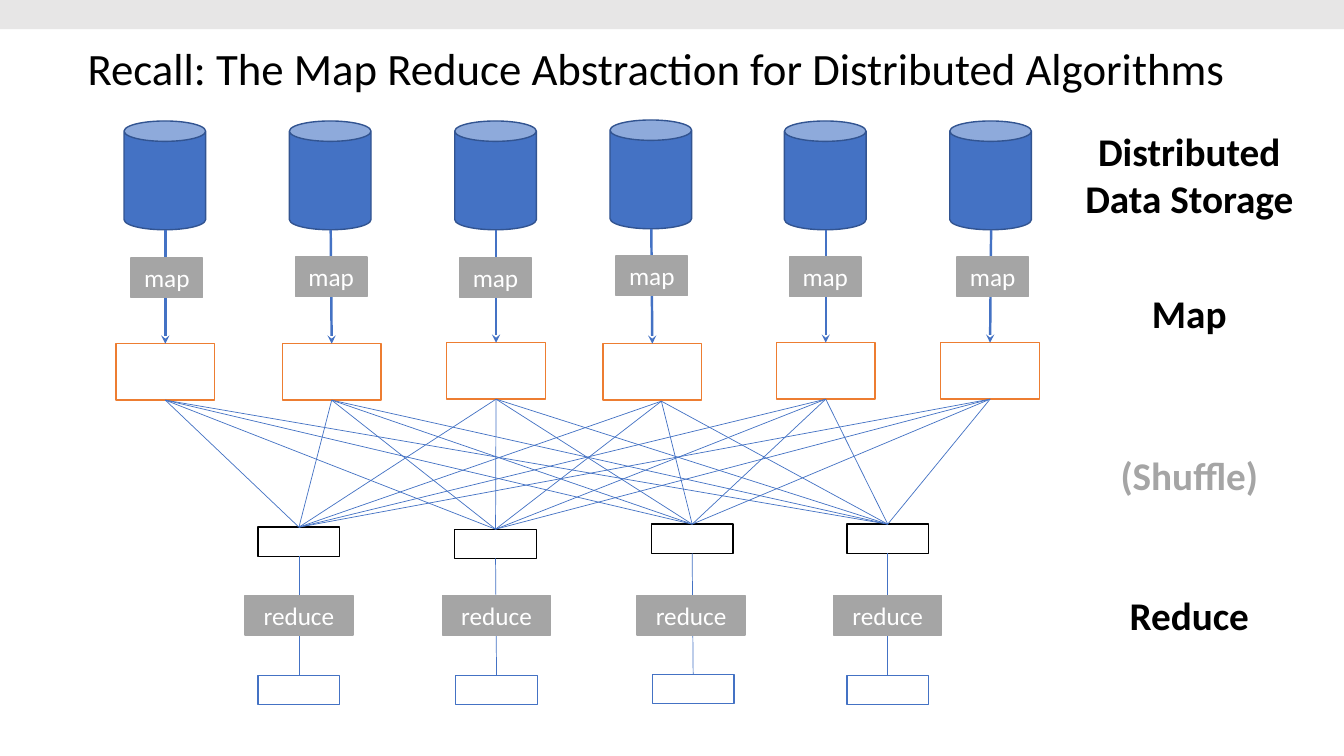
import pptx
import pptx.util
import pptx.dml.color
import pptx.enum.shapes
import pptx.enum.text
import pptx.oxml.ns
from lxml import etree

Inches = pptx.util.Inches
Pt = pptx.util.Pt
SHAPE = pptx.enum.shapes.MSO_SHAPE
STRAIGHT = pptx.enum.shapes.MSO_CONNECTOR.STRAIGHT
ALIGN = pptx.enum.text.PP_ALIGN
MIDDLE = pptx.enum.text.MSO_ANCHOR.MIDDLE
BLUE, GRAY, WHITE, BLACK = "4472C4", "A5A5A5", "FFFFFF", "000000"
qn = pptx.oxml.ns.qn

presentation = pptx.Presentation()
presentation.slide_width = Inches(13.33)
presentation.slide_height = Inches(7.5)
slide = presentation.slides.add_slide(presentation.slide_layouts[6])


def color(value):
    return pptx.dml.color.RGBColor.from_string(value)


def add_item(box, text="", size=18, font="000000", bold=False, kind=None,
             fill=None, line=None, align=ALIGN.CENTER):
    """Add a preset shape, or a text box when no kind is given."""
    place = [Inches(length) for length in box]
    if kind is None:
        shape = slide.shapes.add_textbox(*place)
    else:
        shape = slide.shapes.add_shape(kind, *place)
        shape.shadow.inherit = False
        shape.fill.solid()
        shape.fill.fore_color.rgb = color(fill)
        if line:
            shape.line.color.rgb = color(line)
            shape.line.width = Pt(1)
        else:
            shape.line.fill.background()
        shape.text_frame.vertical_anchor = MIDDLE
    if text:
        shape.text_frame.word_wrap = True
        paragraph = shape.text_frame.paragraphs[0]
        paragraph.alignment = align
        run = paragraph.add_run()
        run.text = text
        run.font.name = "Calibri"
        run.font.size = Pt(size)
        run.font.bold = bold
        run.font.color.rgb = color(font)
    return shape


def add_line(start, end, width=0.5, arrow=False):
    connector = slide.shapes.add_connector(
        STRAIGHT, *[Inches(length) for length in (*start, *end)])
    connector.line.color.rgb = color(BLUE)
    connector.line.width = Pt(width)
    if arrow:
        outline = connector.line._get_or_add_ln()
        etree.SubElement(outline, qn("a:tailEnd"), type="stealth")
    etree.SubElement(connector._element.spPr, qn("a:effectLst"))
    return connector


title = add_item((0.77, -0.02, 11.5, 1.45),
                 "Recall: The Map Reduce Abstraction for Distributed Algorithms",
                 size=32, align=ALIGN.LEFT)
title.text_frame.vertical_anchor = MIDDLE
title.text_frame.paragraphs[0].line_spacing = 0.9
add_item((0, 0, 13.33, 0.29), kind=SHAPE.RECTANGLE, fill="E7E6E6")

stage_labels = [
    ("Distributed Data Storage", 1.21, 1.04, BLACK),
    ("Map", 2.82, 0.57, BLACK),
    ("(Shuffle)", 4.43, 0.57, GRAY),
    ("Reduce", 5.82, 0.57, BLACK),
]
for text, top, height, font in stage_labels:
    add_item((10.62, top, 2.35, height), text, size=28, font=font, bold=True)

# Storage left and top, map left and top, output left and top
map_columns = [
    (1.23, 1.2, 1.3, 2.56, 1.15, 3.41),
    (2.87, 1.2, 2.93, 2.55, 2.8, 3.41),
    (4.51, 1.2, 4.56, 2.56, 4.43, 3.4),
    (6.05, 1.19, 6.11, 2.54, 5.98, 3.41),
    (7.78, 1.2, 7.83, 2.55, 7.7, 3.4),
    (9.42, 1.2, 9.49, 2.55, 9.33, 3.4),
]
map_outputs = []
for can_left, can_top, map_left, map_top, left, top in map_columns:
    add_item((can_left, can_top, 0.81, 1.08), kind=SHAPE.CAN, fill=BLUE, line="325491")
    output = add_item((left, top, 0.98, 0.56), kind=SHAPE.RECTANGLE,
                      fill=WHITE, line="ED7D31")
    map_outputs.append(output)
    arrow = add_line((can_left + 0.41, can_top + 1.08), (left + 0.49, top),
                     width=1.75, arrow=True)
    arrow.end_connect(output, 0)
    add_item((map_left, map_top, 0.71, 0.39), "map", font=WHITE,
             kind=SHAPE.RECTANGLE, fill=GRAY, line=GRAY)

# Input left and top, reduce left, result left and top
reduce_columns = [
    (2.56, 5.23, 2.43, 2.56, 6.7),
    (4.51, 5.25, 4.39, 4.52, 6.7),
    (6.46, 5.2, 6.32, 6.47, 6.69),
    (8.4, 5.2, 8.27, 8.4, 6.7),
]
reduce_inputs = []
for input_left, input_top, reduce_left, result_left, result_top in reduce_columns:
    reduce_input = add_item((input_left, input_top, 0.81, 0.29),
                            kind=SHAPE.RECTANGLE, fill=WHITE, line=BLACK)
    reduce_inputs.append(reduce_input)
    result = add_item((result_left, result_top, 0.81, 0.29),
                      kind=SHAPE.RECTANGLE, fill=WHITE, line=BLUE)
    stem = add_line((input_left + 0.41, input_top + 0.29),
                    (result_left + 0.41, result_top))
    stem.begin_connect(reduce_input, 2)
    stem.end_connect(result, 0)
    add_item((reduce_left, 5.91, 1.07, 0.39), "reduce", font=WHITE,
             kind=SHAPE.RECTANGLE, fill=GRAY, line=GRAY)

# The fourth map column fans out slightly right of its box centre
shuffle_starts = [1.64, 3.28, 4.91, 6.56, 8.19, 9.83]
for column, (start, output) in enumerate(zip(shuffle_starts, map_outputs)):
    for reduce_input, (input_left, input_top, *_) in zip(reduce_inputs, reduce_columns):
        link = add_line((start, 3.98), (input_left + 0.41, input_top))
        if column != 3:
            link.begin_connect(output, 2)
        link.end_connect(reduce_input, 0)

presentation.save("out.pptx")
